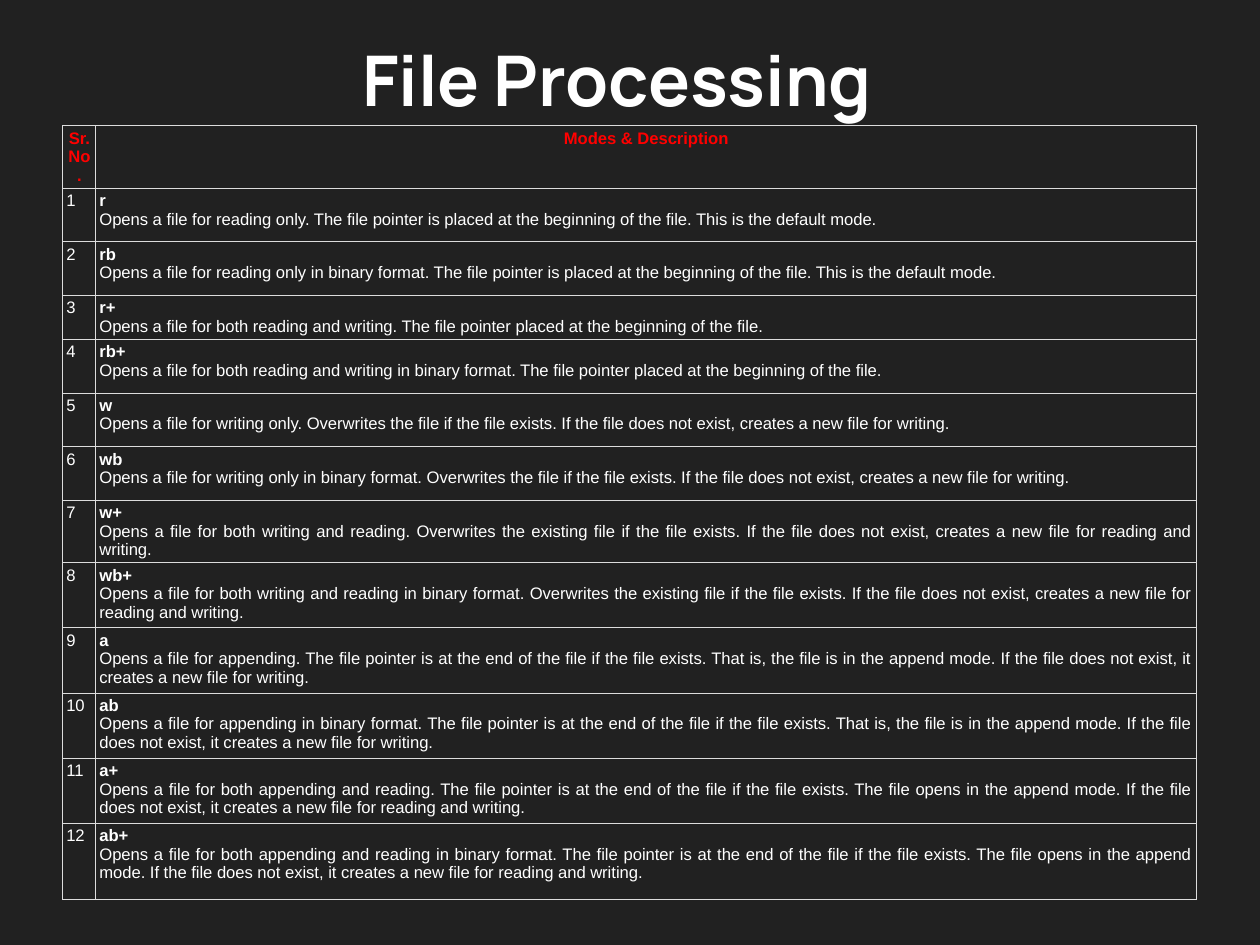
from lxml.etree import SubElement
from pptx import Presentation
from pptx.dml.color import RGBColor
from pptx.enum.text import MSO_ANCHOR, PP_ALIGN
from pptx.oxml.ns import qn
from pptx.util import Emu, Inches, Pt

TITLE = "File Processing"
HEADER = ("Sr.No.", "Modes & Description")
MODES = [
    ("r", 0.47, "Opens a file for reading only. The file pointer is placed at the beginning of the file. "
     "This is the default mode."),
    ("rb", 0.47, "Opens a file for reading only in binary format. The file pointer is placed at the beginning "
     "of the file. This is the default mode."),
    ("r+", 0.38, "Opens a file for both reading and writing. The file pointer placed at the beginning of the file."),
    ("rb+", 0.47, "Opens a file for both reading and writing in binary format. The file pointer placed at the "
     "beginning of the file."),
    ("w", 0.47, "Opens a file for writing only. Overwrites the file if the file exists. If the file does not "
     "exist, creates a new file for writing."),
    ("wb", 0.47, "Opens a file for writing only in binary format. Overwrites the file if the file exists. "
     "If the file does not exist, creates a new file for writing."),
    ("w+", 0.54, "Opens a file for both writing and reading. Overwrites the existing file if the file exists. "
     "If the file does not exist, creates a new file for reading and writing."),
    ("wb+", 0.57, "Opens a file for both writing and reading in binary format. Overwrites the existing file if "
     "the file exists. If the file does not exist, creates a new file for reading and writing."),
    ("a", 0.57, "Opens a file for appending. The file pointer is at the end of the file if the file exists. "
     "That is, the file is in the append mode. If the file does not exist, it creates a new file for writing."),
    ("ab", 0.57, "Opens a file for appending in binary format. The file pointer is at the end of the file if "
     "the file exists. That is, the file is in the append mode. If the file does not exist, it creates a new "
     "file for writing."),
    ("a+", 0.57, "Opens a file for both appending and reading. The file pointer is at the end of the file if "
     "the file exists. The file opens in the append mode. If the file does not exist, it creates a new file "
     "for reading and writing."),
    ("ab+", 0.67, "Opens a file for both appending and reading in binary format. The file pointer is at the end "
     "of the file if the file exists. The file opens in the append mode. If the file does not exist, it creates "
     "a new file for reading and writing."),
]
COLORS = {"back": "212121", "text": "FFFFFF", "header": "FF0000", "border": "DDDDDD"}
SLIDE_SIZE = (10080625, 7559675)
LEFT, WIDTH = 0.55, 9.92
TABLE_TOP, HEADER_HEIGHT = 1.1, 0.54
COLUMNS = (0.29, 9.63)


def write(p, text, size=10.5, font="Arial", color="text", bold=False, align=PP_ALIGN.LEFT):
    p.alignment = align
    r = p.add_run()
    r.text = text
    r.font.size, r.font.name, r.font.bold = Pt(size), font, bold
    r.font.color.rgb = RGBColor.from_string(COLORS[color])


def set_insets(box, inset):
    box.margin_left = box.margin_right = box.margin_top = box.margin_bottom = Inches(inset)


def style_cell(cell):
    set_insets(cell, 0.03)
    tc_pr = cell._tc.get_or_add_tcPr()
    for side in ("lnL", "lnR", "lnT", "lnB"):
        ln = SubElement(tc_pr, qn(f"a:{side}"), w=str(Pt(0.75)))
        SubElement(SubElement(ln, qn("a:solidFill")), qn("a:srgbClr"), val=COLORS["border"])
    cell.fill.background()


prs = Presentation()
prs.slide_width, prs.slide_height = map(Emu, SLIDE_SIZE)
slide = prs.slides.add_slide(prs.slide_layouts[5])
slide.background.fill.solid()
slide.background.fill.fore_color.rgb = RGBColor.from_string(COLORS["back"])

title = slide.shapes.title
title.left, title.top, title.width, title.height = Inches(LEFT), 0, Inches(WIDTH), Inches(1.38)
tf = title.text_frame
tf.word_wrap, tf.vertical_anchor = True, MSO_ANCHOR.MIDDLE
set_insets(tf, 0.12)
p = tf.paragraphs[0]
write(p, TITLE, size=44, font="Manrope", bold=True)
p._p.get_or_add_pPr().set("marL", str(Inches(2.5)))

heights = [HEADER_HEIGHT] + [height for _, height, _ in MODES]
table = slide.shapes.add_table(len(heights), len(COLUMNS), Inches(LEFT), Inches(TABLE_TOP),
                               Inches(WIDTH), Inches(sum(heights))).table
table.first_row = table.horz_banding = False
for column, width in zip(table.columns, COLUMNS):
    column.width = Inches(width)
for row, height in zip(table.rows, heights):
    row.height = Inches(height)
for cell in table.iter_cells():
    style_cell(cell)

for column, text in enumerate(HEADER):
    write(table.cell(0, column).text_frame.paragraphs[0], text, color="header", bold=True, align=PP_ALIGN.CENTER)
for number, (mode, _, description) in enumerate(MODES, 1):
    write(table.cell(number, 0).text_frame.paragraphs[0], str(number))
    tf = table.cell(number, 1).text_frame
    write(tf.paragraphs[0], mode, bold=True, align=PP_ALIGN.JUSTIFY)
    write(tf.add_paragraph(), description, align=PP_ALIGN.JUSTIFY)

prs.save("out.pptx")
